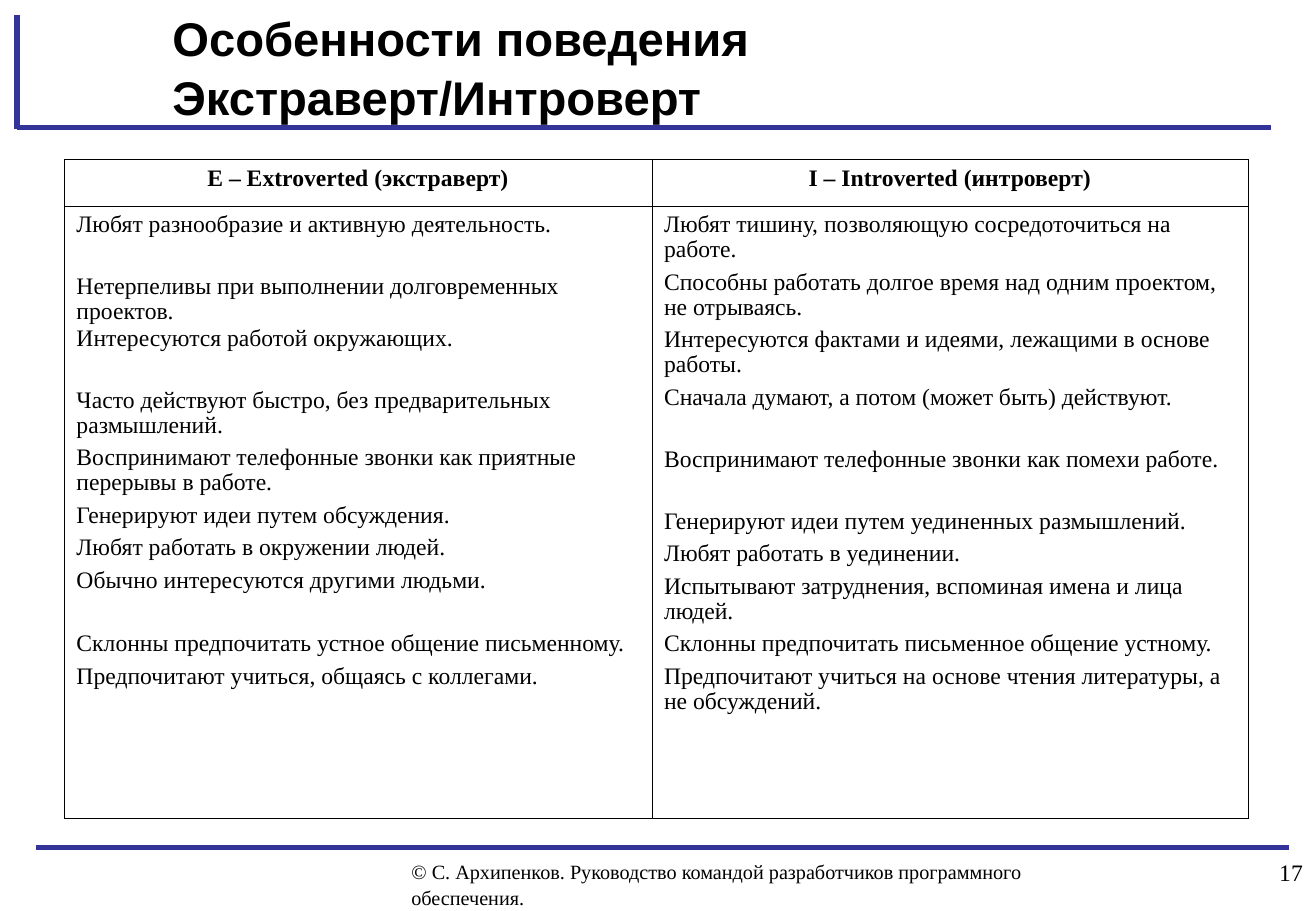
import pptx
import pptx.dml.color
import pptx.enum.shapes
import pptx.enum.text
import pptx.oxml
import pptx.oxml.ns
import pptx.util

BLUE = pptx.dml.color.RGBColor(0x33, 0x33, 0x99)
BLACK = pptx.dml.color.RGBColor(0, 0, 0)
EMU_PER_PX = 9144
LEFT = pptx.enum.text.PP_ALIGN.LEFT
CENTER = pptx.enum.text.PP_ALIGN.CENTER
RIGHT = pptx.enum.text.PP_ALIGN.RIGHT

NORMAL_GAP = 4.4
TIGHT_GAP = 0.9
LINE_GAP = 21.9
WIDE_GAP = 22.8

EXTROVERT = [
    ("Любят разнообразие и активную деятельность.", LINE_GAP),
    ("Нетерпеливы при выполнении долговременных проектов.", TIGHT_GAP),
    ("Интересуются работой окружающих.", LINE_GAP),
    ("Часто действуют быстро, без предварительных размышлений.", NORMAL_GAP),
    ("Воспринимают телефонные звонки как приятные перерывы в работе.", NORMAL_GAP),
    ("Генерируют идеи путем обсуждения.", NORMAL_GAP),
    ("Любят работать в окружении людей.", NORMAL_GAP),
    ("Обычно интересуются другими людьми.", WIDE_GAP),
    ("Склонны предпочитать устное общение письменному.", NORMAL_GAP),
    ("Предпочитают учиться, общаясь с коллегами.", NORMAL_GAP),
]
INTROVERT = [
    ("Любят тишину, позволяющую сосредоточиться на работе.", NORMAL_GAP),
    ("Способны работать долгое время над одним проектом, не отрываясь.", NORMAL_GAP),
    ("Интересуются фактами и идеями, лежащими в основе работы.", NORMAL_GAP),
    ("Сначала думают, а потом (может быть) действуют.", LINE_GAP),
    ("Воспринимают телефонные звонки как помехи работе.", LINE_GAP),
    ("Генерируют идеи путем уединенных размышлений.", NORMAL_GAP),
    ("Любят работать в уединении.", NORMAL_GAP),
    ("Испытывают затруднения, вспоминая имена и лица людей.", NORMAL_GAP),
    ("Склонны предпочитать письменное общение устному.", NORMAL_GAP),
    ("Предпочитают учиться на основе чтения литературы, а не обсуждений.", NORMAL_GAP),
]
COLUMNS = [
    ("E – Extroverted (экстраверт)", EXTROVERT, 484),
    ("I – Introverted (интроверт)", INTROVERT, 491),
]


def px(length):
    return pptx.util.Emu(length * EMU_PER_PX)


def write(paragraph, text, size=14, font="Times New Roman", bold=False,
          align=LEFT, after=0, spacing=1.0):
    paragraph.alignment = align
    paragraph.space_before = pptx.util.Pt(0)
    paragraph.space_after = pptx.util.Pt(after)
    paragraph.line_spacing = spacing
    run = paragraph.add_run()
    run.text = text
    run.font.size = pptx.util.Pt(size)
    run.font.name = font
    run.font.bold = bold
    run.font.color.rgb = BLACK


class Deck:
    def __init__(self, width, height):
        self.presentation = pptx.Presentation()
        self.presentation.slide_width = px(width)
        self.presentation.slide_height = px(height)
        self.slide = None

    def title(self, text, left, top, width, height):
        self.slide = self.presentation.slides.add_slide(self.presentation.slide_layouts[5])
        heading = self.slide.shapes.title
        heading.left, heading.top = px(left), px(top)
        heading.width, heading.height = px(width), px(height)
        frame = heading.text_frame
        frame.auto_size = pptx.enum.text.MSO_AUTO_SIZE.NONE
        frame.vertical_anchor = pptx.enum.text.MSO_ANCHOR.MIDDLE
        write(frame.paragraphs[0], text, size=28, font="Arial", bold=True, spacing=1.04)

    def rule(self, x1, y1, x2, y2):
        rule = self.slide.shapes.add_connector(
            pptx.enum.shapes.MSO_CONNECTOR.STRAIGHT, px(x1), px(y1), px(x2), px(y2))
        rule.line.color.rgb = BLUE
        rule.line.width = pptx.util.Pt(3)
        pptx.oxml.parse_xml(
            f'<a:effectLst {pptx.oxml.ns.nsdecls("a")}/>')
        rule.line._get_or_add_ln().addnext(
            pptx.oxml.parse_xml(f'<a:effectLst {pptx.oxml.ns.nsdecls("a")}/>'))

    def text(self, text, left, top, width, height, **style):
        frame = self.slide.shapes.add_textbox(
            px(left), px(top), px(width), px(height)).text_frame
        frame.word_wrap = True
        write(frame.paragraphs[0], text, **style)

    def border(self, cell):
        cell.fill.background()
        properties = cell._tc.get_or_add_tcPr()
        for position, side in enumerate(("lnL", "lnR", "lnT", "lnB")):
            properties.insert(position, pptx.oxml.parse_xml(
                f'<a:{side} {pptx.oxml.ns.nsdecls("a")} w="{pptx.util.Pt(0.45)}">'
                f'<a:solidFill><a:srgbClr val="{BLACK}"/></a:solidFill></a:{side}>'))

    def comparison(self, columns, left, top, row_heights):
        table = self.slide.shapes.add_table(
            len(row_heights), len(columns), px(left), px(top),
            px(sum(width for _, _, width in columns)), px(sum(row_heights))).table
        table.first_row = False
        table.horz_banding = False
        for row, height in zip(table.rows, row_heights):
            row.height = px(height)
        for index, (heading, traits, width) in enumerate(columns):
            table.columns[index].width = px(width)
            header, body = table.cell(0, index), table.cell(1, index)
            self.border(header)
            self.border(body)
            write(header.text_frame.paragraphs[0], heading, bold=True, align=CENTER)
            for number, (trait, gap) in enumerate(traits):
                frame = body.text_frame
                paragraph = frame.add_paragraph() if number else frame.paragraphs[0]
                write(paragraph, trait, after=gap, spacing=0.96)


def main():
    deck = Deck(1084, 750)
    deck.title("Особенности поведения Экстраверт/Интроверт", 132, 12, 899, 84)
    deck.rule(30, 698, 1062, 698)
    deck.rule(14, 105, 1047, 105)
    deck.rule(14, 12, 14, 106)
    deck.text("© С. Архипенков. Руководство командой разработчиков программного обеспечения.",
              329, 701, 572, 49, size=12, spacing=1.07)
    deck.text("17", 951, 701, 132, 49, align=RIGHT)
    deck.comparison(COLUMNS, 53, 131, [39, 504])
    deck.presentation.save("out.pptx")


if __name__ == "__main__":
    main()
